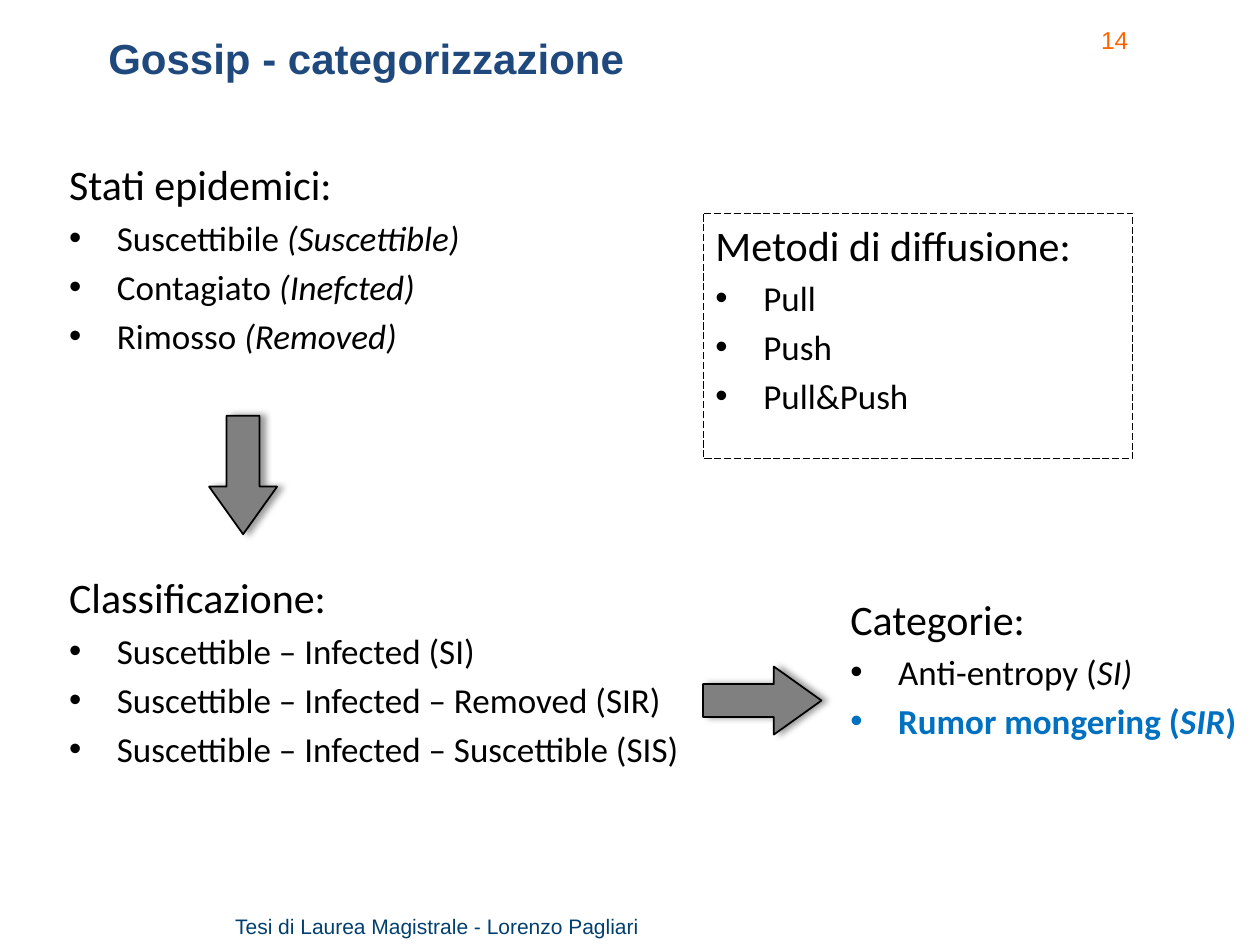
from lxml.etree import SubElement
from pptx import Presentation
from pptx.dml.color import RGBColor
from pptx.enum.dml import MSO_LINE_DASH_STYLE as Dash
from pptx.enum.shapes import MSO_SHAPE as Shape
from pptx.enum.text import MSO_ANCHOR as Anchor, PP_ALIGN as Align
from pptx.oxml import parse_xml
from pptx.oxml.ns import nsdecls, qn
from pptx.util import Inches, Pt

THEME = {
    "heading": {"name": "Calibri", "size": 24, "color": "000000"},
    "item": {"name": "Calibri", "size": 20, "color": "000000"},
    "title": {"name": "Arial", "size": 24, "color": "1F497D", "bold": True},
    "number": {"name": "Arial", "size": 14, "color": "FF6600"},
    "footer": {"name": "Arial", "size": 12, "color": "003F6E"},
    "accent": {"color": "0070C0", "bold": True},
    "arrow": "808080",
    "line": "000000",
}
INDENT = 0.38
SPACE_BEFORE = 0.2  # share of the type size

# Content: each item is a list of (text, italic) runs
TITLE = "Gossip - categorizzazione"
LABELS = [
    ("14", "number", (8.64, 0.15, 0.55, 0.34), Align.LEFT),
    ("Tesi di Laurea Magistrale - Lorenzo Pagliari", "footer",
     (0.25, 7.2, 4.92, 0.3), Align.RIGHT),
]
LISTS = [
    {"heading": "Stati epidemici:", "at": (0.45, 1.21, 3.86, 1.94),
     "items": [[("Suscettibile ", False), ("(Suscettible)", True)],
               [("Contagiato ", False), ("(Inefcted)", True)],
               [("Rimosso ", False), ("(Removed)", True)]]},
    {"heading": "Classificazione:", "at": (0.45, 4.49, 5.13, 1.96),
     "items": [[("Suscettible – Infected (SI)", False)],
               [("Suscettible – Infected – Removed (SIR)", False)],
               [("Suscettible – Infected – Suscettible (SIS)", False)]]},
    {"heading": "Metodi di diffusione:", "at": (5.58, 1.69, 3.41, 1.95),
     "framed": True,
     "items": [[("Pull", False)], [("Push", False)], [("Pull&Push", False)]]},
    {"heading": "Categorie:", "at": (6.65, 4.66, 3.35, 1.96), "accent": 1,
     "items": [[("Anti-entropy (", False), ("SI)", True)],
               [("Rumor mongering (", False), ("SIR", True), (")", False)]]},
]
ARROW_SIZE = (0.54, 0.94)
ARROWS = [(1.66, 3.3, 0), (5.78, 5.09, 270)]  # left, top, rotation


def inches(values):
    return [Inches(v) for v in values]


def add_run(p, text, style, **extra):
    r = p.add_run()
    r.text = text
    for key, value in {**style, **extra}.items():
        if key == "color":
            r.font.color.rgb = RGBColor.from_string(value)
        else:
            setattr(r.font, key, Pt(value) if key == "size" else value)


def add_bullet(p):
    pPr = p._p.get_or_add_pPr()
    pPr.set("marL", str(Inches(INDENT)))
    pPr.set("indent", str(-Inches(INDENT)))
    SubElement(pPr, qn("a:buFont")).set("typeface", "Arial")
    SubElement(pPr, qn("a:buChar")).set("char", "•")


def add_list(slide, block):
    box = inches(block["at"])
    if block.get("framed"):
        s = slide.shapes.add_shape(Shape.RECTANGLE, *box)
        s.shadow.inherit = False
        s.fill.background()
        s.line.color.rgb = RGBColor.from_string(THEME["line"])
        s.line.width = Pt(0.5)
        s.line.dash_style = Dash.LONG_DASH
    else:
        s = slide.shapes.add_textbox(*box)
    tf = s.text_frame
    tf.word_wrap = True
    tf.vertical_anchor = Anchor.TOP
    p = tf.paragraphs[0]
    p.alignment = Align.LEFT
    p.space_before = Pt(round(THEME["heading"]["size"] * SPACE_BEFORE, 1))
    add_run(p, block["heading"], THEME["heading"])
    for i, runs in enumerate(block["items"]):
        style = dict(THEME["item"])
        if block.get("accent") == i:
            style.update(THEME["accent"])
        p = tf.add_paragraph()
        p.alignment = Align.LEFT
        p.space_before = Pt(style["size"] * SPACE_BEFORE)
        add_bullet(p)
        for text, italic in runs:
            add_run(p, text, style, italic=italic)


def add_arrow(slide, left, top, rotation):
    s = slide.shapes.add_shape(Shape.DOWN_ARROW, *inches((left, top, *ARROW_SIZE)))
    s.rotation = rotation
    s.adjustments[0], s.adjustments[1] = 0.485, 0.699
    s.fill.solid()
    s.fill.fore_color.rgb = RGBColor.from_string(THEME["arrow"])
    s.line.color.rgb = RGBColor.from_string(THEME["line"])
    s.line.width = Pt(1)
    # Soft shadow to the right
    s.shadow.inherit = False
    effects = s._element.spPr.find(qn("a:effectLst"))
    effects.append(parse_xml(
        f'<a:outerShdw {nsdecls("a")} blurRad="{Pt(4)}" dist="{Pt(3)}" dir="0" '
        'rotWithShape="0"><a:srgbClr val="000000"><a:alpha val="40000"/>'
        '</a:srgbClr></a:outerShdw>'))


def main():
    prs = Presentation()
    prs.slide_width, prs.slide_height = Inches(10), Inches(7.5)
    slide = prs.slides.add_slide(prs.slide_layouts[5])

    # Title
    title = slide.shapes.title
    title.left, title.top, title.width, title.height = inches((0.76, 0.18, 7.72, 0.56))
    title.text_frame.vertical_anchor = Anchor.MIDDLE
    p = title.text_frame.paragraphs[0]
    p.alignment = Align.LEFT
    add_run(p, TITLE, THEME["title"])

    # Page number and footer
    for text, style, at, align in LABELS:
        tf = slide.shapes.add_textbox(*inches(at)).text_frame
        tf.word_wrap = True
        tf.paragraphs[0].alignment = align
        add_run(tf.paragraphs[0], text, THEME[style])

    # Lists and the arrows between them
    for block in LISTS:
        add_list(slide, block)
    for arrow in ARROWS:
        add_arrow(slide, *arrow)

    prs.save("out.pptx")


if __name__ == "__main__":
    main()
